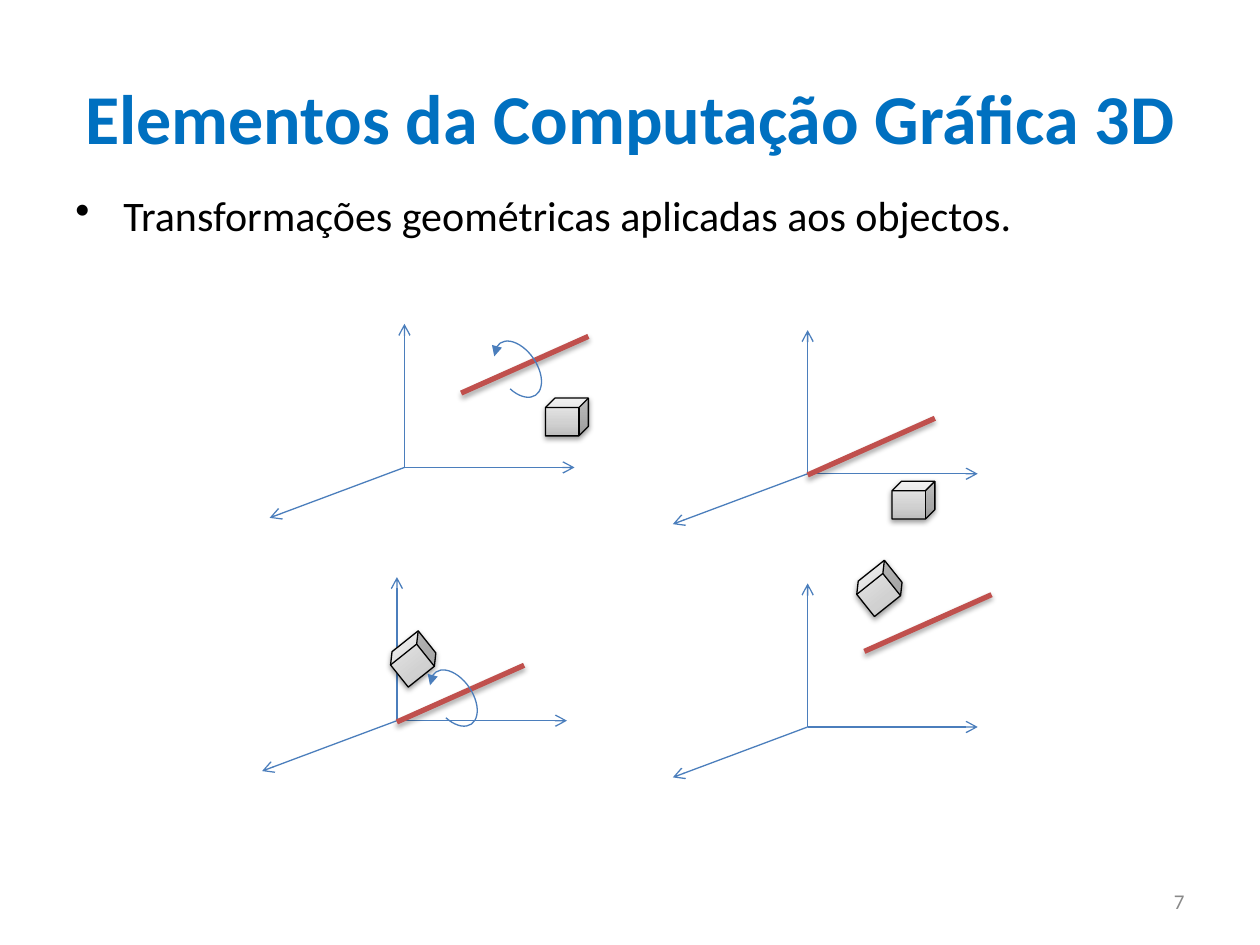
"""Build a slide on geometric transformations applied to 3D objects."""
from lxml import etree
from pptx import Presentation
from pptx.dml.color import RGBColor
from pptx.enum.shapes import MSO_CONNECTOR, MSO_SHAPE
from pptx.enum.text import MSO_ANCHOR, PP_ALIGN
from pptx.oxml import parse_xml
from pptx.oxml.ns import qn
from pptx.util import Inches, Pt

STRAIGHT = MSO_CONNECTOR.STRAIGHT
CUBE, ARC = MSO_SHAPE.CUBE, MSO_SHAPE.ARC
TOP, MIDDLE = MSO_ANCHOR.TOP, MSO_ANCHOR.MIDDLE
LEFT, CENTER, RIGHT = PP_ALIGN.LEFT, PP_ALIGN.CENTER, PP_ALIGN.RIGHT

TITLE_BLUE = RGBColor(0x00, 0x70, 0xC0)
AXIS_BLUE = RGBColor(0x4B, 0x7E, 0xBC)
ROD_RED = RGBColor(0xC0, 0x50, 0x4D)
BLACK = RGBColor(0x00, 0x00, 0x00)
GRAY = RGBColor(0x89, 0x89, 0x89)
CUBE_STOPS = [(0, RGBColor(0xBD, 0xBD, 0xBD)), (35, RGBColor(0xD1, 0xD1, 0xD1)),
              (100, RGBColor(0xEE, 0xEE, 0xEE))]

FONT = "Calibri"
WIDTH, HEIGHT = 10, 7.5
MARGIN = 0.05 * WIDTH
TITLE = "Elementos da Computação Gráfica 3D"
BULLET = "Transformações geométricas aplicadas aos objectos."
PAGE_NUMBER = "7"

AXES = [(0, -1.14), (-1.07, 0.4), (1.35, 0)]
ROD = (1.01, -0.45)
CUBE_SIZE = (0.34, 0.3)
ARC_SIZE, ARC_OFFSET = (0.3, 0.5), (0.3, -0.44)
ARC_TURN, ARC_ENDS = 145.8, (37.6, 195.35)
TURNED = 321.4
SCENES = [
    {"origin": (3.21, 3.71), "rod": (3.66, 3.12), "cube": (4.33, 3.16), "turn": 0, "arc": True},
    {"origin": (6.41, 3.76), "rod": (6.41, 3.77), "cube": (7.08, 3.82), "turn": 0, "arc": False},
    {"origin": (3.15, 5.72), "rod": (3.15, 5.73), "cube": (3.11, 5.08), "turn": TURNED, "arc": True},
    {"origin": (6.41, 5.77), "rod": (6.86, 5.17), "cube": (6.81, 4.52), "turn": TURNED, "arc": False},
]


def place(shape, left, top, width, height):
    shape.left, shape.top = Inches(left), Inches(top)
    shape.width, shape.height = Inches(width), Inches(height)


def write(shape, text, size, color, align, anchor, bold=False):
    frame = shape.text_frame
    frame.word_wrap = True
    frame.vertical_anchor = anchor
    para = frame.paragraphs[0]
    para.text, para.alignment = text, align
    font = para.font
    font.name, font.size, font.bold = FONT, Pt(size), bold
    font.color.rgb = color
    return para


def add_bullet(para):
    properties = para._p.get_or_add_pPr()
    properties.set("marL", str(Inches(0.38)))
    properties.set("indent", str(-Inches(0.38)))
    bullet = etree.Element(qn("a:buChar"), char="•")
    properties.insert_element_before(bullet, "a:tabLst", "a:defRPr", "a:extLst")


def set_line(shape, color, width, end=None, kind=None):
    shape.line.color.rgb = color
    shape.line.width = Pt(width)
    if end:
        etree.SubElement(shape.line._get_or_add_ln(), qn(f"a:{end}"), type=kind)


def set_effects(shape, opacity=0, distance=0):
    effects = etree.SubElement(shape._element.spPr, qn("a:effectLst"))
    if opacity:
        shadow = etree.SubElement(effects, qn("a:outerShdw"), blurRad=str(Pt(3.1)),
                                  dist=str(Pt(distance)), dir="5400000", rotWithShape="0")
        color = etree.SubElement(shadow, qn("a:srgbClr"), val=str(BLACK))
        etree.SubElement(color, qn("a:alpha"), val=str(opacity * 1000))


def fill_cube(shape):
    stops = "".join(f'<a:gs pos="{position * 1000}"><a:srgbClr val="{color}"/></a:gs>'
                    for position, color in CUBE_STOPS)
    gradient = parse_xml(
        '<a:gradFill xmlns:a="http://schemas.openxmlformats.org/drawingml/2006/main" '
        f'rotWithShape="1"><a:gsLst>{stops}</a:gsLst><a:lin ang="16200000" scaled="1"/></a:gradFill>')
    shape._element.spPr.find(qn("a:prstGeom")).addnext(gradient)


def add_segment(group, start, vector):
    ends = [*start, start[0] + vector[0], start[1] + vector[1]]
    return group.shapes.add_connector(STRAIGHT, *map(Inches, ends))


def add_solid(group, kind, corner, size, turn):
    shape = group.shapes.add_shape(kind, *map(Inches, (*corner, *size)))
    shape.rotation = turn
    return shape


def add_scene(page, scene):
    group = page.shapes.add_group_shape()
    for vector in AXES:
        axis = add_segment(group, scene["origin"], vector)
        set_line(axis, AXIS_BLUE, 0.75, "tailEnd", "arrow")
        set_effects(axis)

    cube = add_solid(group, CUBE, scene["cube"], CUBE_SIZE, scene["turn"])
    fill_cube(cube)
    set_line(cube, BLACK, 0.75)
    set_effects(cube, 38, 1.6)

    rod = add_segment(group, scene["rod"], ROD)
    set_line(rod, ROD_RED, 3)
    set_effects(rod, 35, 1.8)

    if scene["arc"]:
        corner = [start + offset for start, offset in zip(scene["rod"], ARC_OFFSET)]
        arc = add_solid(group, ARC, corner, ARC_SIZE, ARC_TURN)
        arc.adjustments[0], arc.adjustments[1] = ARC_ENDS
        arc.fill.background()
        set_line(arc, AXIS_BLUE, 0.75, "headEnd", "triangle")
        set_effects(arc)


def main():
    deck = Presentation()
    deck.slide_width, deck.slide_height = Inches(WIDTH), Inches(HEIGHT)
    page = deck.slides.add_slide(deck.slide_layouts[5])

    title = page.shapes.title
    place(title, MARGIN, 0.04 * HEIGHT, WIDTH - 2 * MARGIN, 1.25)
    write(title, TITLE, 40, TITLE_BLUE, CENTER, MIDDLE, bold=True)

    number = page.shapes.add_textbox(0, 0, 0, 0)
    place(number, WIDTH - MARGIN - 2.33, 6.95, 2.33, 0.4)
    write(number, PAGE_NUMBER, 12, GRAY, RIGHT, MIDDLE)

    body = page.shapes.add_textbox(0, 0, 0, 0)
    place(body, MARGIN, 0.2 * HEIGHT, 9.19, 0.7 * HEIGHT)
    para = write(body, BULLET, 24, BLACK, LEFT, TOP)
    para.line_spacing = 0.9
    add_bullet(para)

    for scene in SCENES:
        add_scene(page, scene)
    deck.save("out.pptx")


if __name__ == "__main__":
    main()
